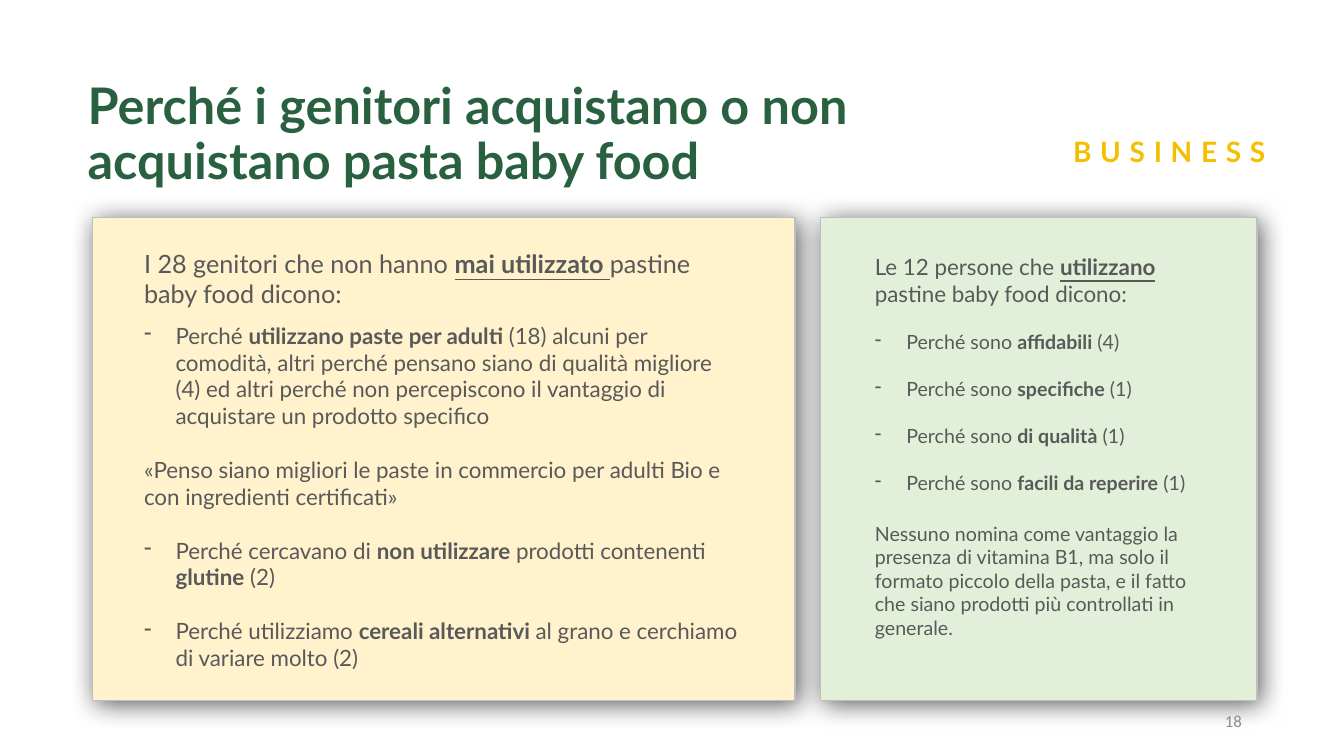
from lxml import etree
from pptx import Presentation
from pptx.dml.color import RGBColor
from pptx.enum.shapes import MSO_SHAPE
from pptx.enum.text import MSO_ANCHOR, MSO_AUTO_SIZE, PP_ALIGN
from pptx.oxml import parse_xml
from pptx.oxml.ns import nsdecls, qn
from pptx.util import Pt

RECT = MSO_SHAPE.RECTANGLE
TOP, MIDDLE = MSO_ANCHOR.TOP, MSO_ANCHOR.MIDDLE
LEFT, CENTER, RIGHT = PP_ALIGN.LEFT, PP_ALIGN.CENTER, PP_ALIGN.RIGHT
NO_FIT = MSO_AUTO_SIZE.NONE

COLORS = {
    "title": "296140",
    "label": "F5BF01",
    "body": "595959",
    "number": "8C8C8C",
    "border": "BFBFBF",
    "cream": "FFF2CC",
    "mint": "E2F0D9",
    "shadow": "000000",
}
INDENT = 22.5

NON_USERS = [
    ("head", 18, 0, "I 28 genitori che non hanno *mai utilizzato *pastine baby food dicono:"),
    ("bullet", 16, 9.6, "Perché *utilizzano paste per adulti *(18) alcuni per comodità, "
     "altri perché pensano siano di qualità migliore (4) ed altri perché non "
     "percepiscono il vantaggio di acquistare un prodotto specifico"),
    ("plain", 16, 19.2, "«Penso siano migliori le paste in commercio per adulti Bio "
     "e con ingredienti certificati»"),
    ("bullet", 16, 19.2, "Perché cercavano di *non utilizzare* prodotti contenenti *glutine* (2)"),
    ("bullet", 16, 19.2, "Perché utilizziamo *cereali alternativi *al grano e cerchiamo "
     "di variare molto (2)"),
]
REASONS = [("affidabili", 4), ("specifiche", 1), ("di qualità", 1), ("facili da reperire", 1)]
USERS = [
    ("head", 16, 0, "Le 12 persone che *utilizzano* pastine baby food dicono:"),
    *[("bullet", 14, 16.8, f"Perché sono *{reason}* ({count})") for reason, count in REASONS],
    ("plain", 14, 19.2, "Nessuno nomina come vantaggio la presenza di vitamina B1, ma solo "
     "il formato piccolo della pasta, e il fatto che siano prodotti più "
     "controllati in generale."),
]


class Deck:
    def __init__(self, font="Lato"):
        self.font = font
        self.prs = Presentation()
        self.prs.slide_width, self.prs.slide_height = Pt(960), Pt(540)
        self.s = self.prs.slides.add_slide(self.prs.slide_layouts[5])

    def style(self, p, size, color, bold=False, align=LEFT, font=None):
        p.alignment = align
        p.font.name = font or self.font
        p.font.size = Pt(size)
        p.font.bold = bold
        p.font.color.rgb = RGBColor.from_string(COLORS[color])

    def title(self, text, left, top, width, height):
        sp = self.s.shapes.title
        sp.left, sp.top, sp.width, sp.height = Pt(left), Pt(top), Pt(width), Pt(height)
        tf = sp.text_frame
        tf.text = text
        tf.word_wrap = True
        tf.auto_size = NO_FIT
        tf.vertical_anchor = TOP
        tf.margin_left = tf.margin_right = tf.margin_bottom = 0
        tf.margin_top = Pt(1)
        p = tf.paragraphs[0]
        p.line_spacing = 0.9
        self.style(p, 36, "title", bold=True)

    def frame(self, left, top, width, height, anchor=TOP):
        sp = self.s.shapes.add_textbox(Pt(left), Pt(top), Pt(width), Pt(height))
        tf = sp.text_frame
        tf.word_wrap = True
        tf.vertical_anchor = anchor
        return tf

    def label(self, text, box, size, color, bold=False, align=LEFT,
              anchor=TOP, font=None, spacing=0):
        p = self.frame(*box, anchor=anchor).paragraphs[0]
        r = p.add_run()
        r.text = text
        self.style(p, size, color, bold, align, font)
        if spacing:
            r.font._element.set("spc", str(int(spacing * 100)))

    def card(self, left, top, width, height, fill):
        sp = self.s.shapes.add_shape(RECT, Pt(left), Pt(top), Pt(width), Pt(height))
        sp.shadow.inherit = False
        sp.fill.solid()
        sp.fill.fore_color.rgb = RGBColor.from_string(COLORS[fill])
        sp.line.color.rgb = RGBColor.from_string(COLORS["border"])
        sp.line.width = Pt(1)
        effects = sp._element.spPr.find(qn("a:effectLst"))
        effects.append(parse_xml(
            f'<a:outerShdw {nsdecls("a")} blurRad="{Pt(19)}" dist="{Pt(3)}" '
            f'dir="2700000" algn="tl" rotWithShape="0">'
            f'<a:srgbClr val="{COLORS["shadow"]}"><a:alpha val="63000"/></a:srgbClr>'
            f'</a:outerShdw>'))

    def answers(self, items, left, top, width, height):
        tf = self.frame(left, top, width, height)
        for i, (kind, size, before, text) in enumerate(items):
            p = tf.add_paragraph() if i else tf.paragraphs[0]
            p.space_before = Pt(before)
            self.style(p, size, "body")
            if kind == "bullet":
                self.bullet(p)
            for j, part in enumerate(text.split("*")):
                r = p.add_run()
                r.text = part
                if j % 2:
                    r.font.bold = True
                    r.font.underline = kind == "head"

    def bullet(self, p):
        pPr = p._p.get_or_add_pPr()
        pPr.set("marL", str(Pt(INDENT)))
        pPr.set("indent", str(-Pt(INDENT)))
        mark = etree.Element(qn("a:buChar"), char="-")
        pPr.insert_element_before(mark, "a:tabLst", "a:defRPr", "a:extLst")


def main():
    deck = Deck()
    deck.title("Perché i genitori acquistano o non acquistano pasta baby food",
               62.6, 57, 544.4, 79)
    deck.label("BUSINESS", (715.7, 92.2, 239, 31.7), 20, "label", bold=True,
               align=CENTER, spacing=6.2)
    deck.card(66.2, 155.5, 501.8, 344.9, "cream")
    deck.answers(NON_USERS, 95.8, 173.5, 440.6, 342)
    deck.card(586.1, 155.5, 311.8, 344.9, "mint")
    deck.answers(USERS, 617.8, 177.1, 262, 307.4)
    deck.label("18", (678.2, 500.4, 216, 28.8), 12, "number", align=RIGHT,
               anchor=MIDDLE, font="Calibri")
    deck.prs.save("out.pptx")


if __name__ == "__main__":
    main()
